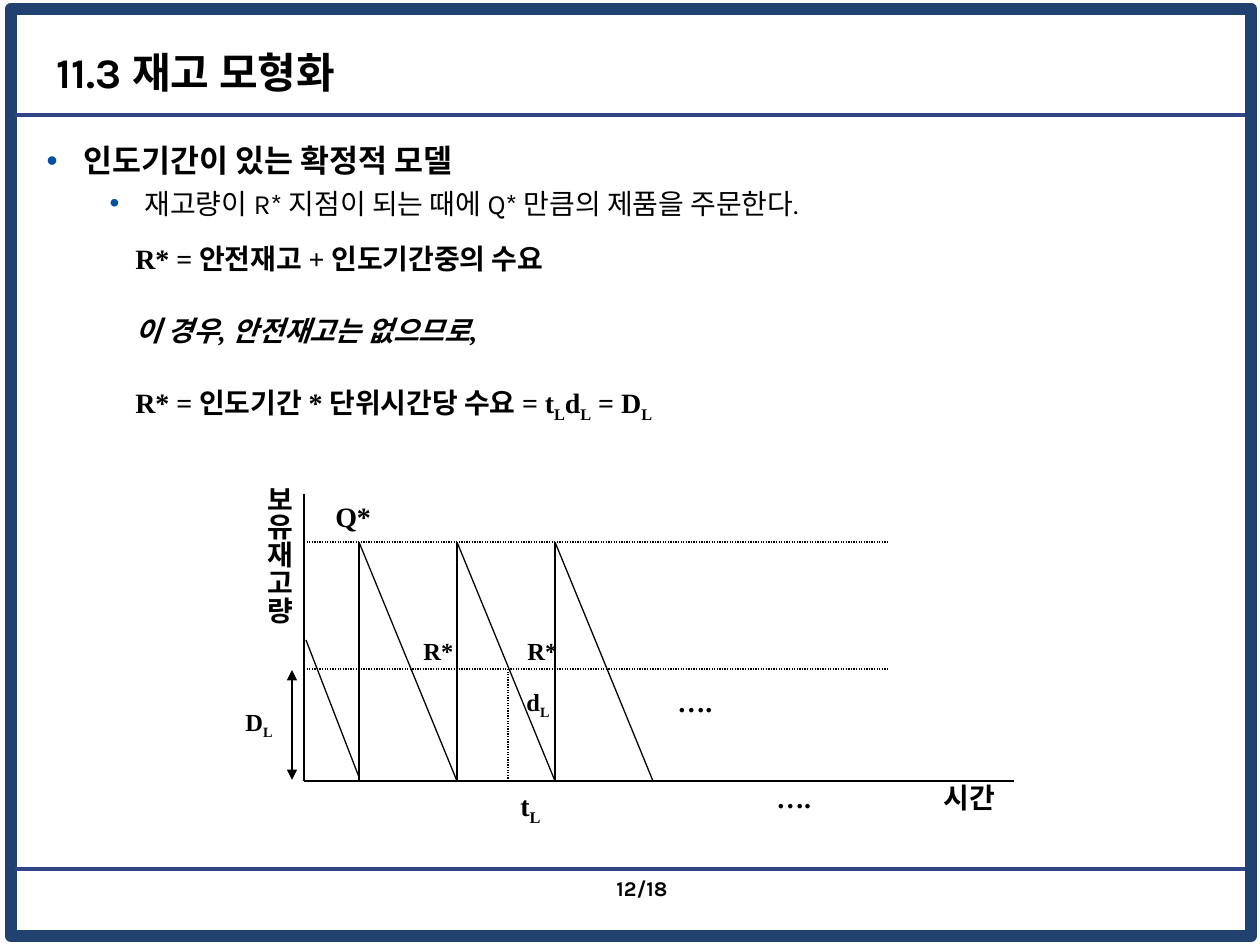
from lxml import etree
from pptx import Presentation
from pptx.dml.color import RGBColor
from pptx.enum.dml import MSO_LINE
from pptx.enum.shapes import MSO_CONNECTOR, MSO_SHAPE
from pptx.enum.text import MSO_ANCHOR, PP_ALIGN
from pptx.oxml.ns import qn
from pptx.util import Pt

PX = 914400 / 126
DOT = MSO_LINE.ROUND_DOT
STRAIGHT = MSO_CONNECTOR.STRAIGHT
RECT = MSO_SHAPE.RECTANGLE
TOP, MIDDLE = MSO_ANCHOR.TOP, MSO_ANCHOR.MIDDLE
LEFT, RIGHT = PP_ALIGN.LEFT, PP_ALIGN.RIGHT


def emu(*px):
    return [round(n * PX) for n in px]


def color(code):
    return RGBColor.from_string(code)


class Page:
    ink, navy, rule, dot = "000000", "214171", "314486", "0051A2"
    head, serif = "Karla", "Times New Roman"

    def __init__(self, slide):
        self.slide = slide
        self.shapes = slide.shapes

    def place(self, shape, box):
        shape.left, shape.top, shape.width, shape.height = emu(*box)

    def style(self, run, size, font, bold=True, slant=False):
        run.font.size = Pt(size)
        run.font.name = font
        run.font.bold = bold
        run.font.italic = slant
        run.font.color.rgb = color(self.ink)

    def fill(self, para, text, size, font, slant=False):
        for i, part in enumerate(text.split("_")):
            if part:
                run = para.add_run()
                run.text = part
                self.style(run, size, font, slant=slant)
                if i % 2:
                    run.font._element.set("baseline", "-25000")

    def frame(self, box):
        shape = self.shapes.add_shape(RECT, *emu(*box))
        shape.shadow.inherit = False
        shape.fill.background()
        shape.line.color.rgb = color(self.navy)
        shape.line.width = Pt(7)

    def line(self, x1, y1, x2, y2, tint=ink, width=0.75, dash=None, heads=False):
        link = self.shapes.add_connector(STRAIGHT, *emu(x1, y1, x2, y2))
        link.line.color.rgb = color(tint)
        link.line.width = Pt(width)
        if dash:
            link.line.dash_style = dash
        if heads:
            for end in ("a:headEnd", "a:tailEnd"):
                etree.SubElement(link.line._ln, qn(end), type="triangle")
        etree.SubElement(link._element.spPr, qn("a:effectLst"))

    def text(self, box, words, size=16, font=serif, align=LEFT, wrap=False, stack=False):
        area = self.shapes.add_textbox(*emu(*box)).text_frame
        area.word_wrap = wrap
        if stack:
            area._txBody.bodyPr.set("vert", "eaVert")
        para = area.paragraphs[0]
        para.alignment = align
        self.fill(para, words, size, font)

    def title(self, box, words):
        shape = self.shapes.title
        self.place(shape, box)
        area = shape.text_frame
        area.text = words
        area.vertical_anchor = MIDDLE
        para = area.paragraphs[0]
        para.alignment = LEFT
        self.style(para.runs[0], 24, self.head)

    def list(self, box, items):
        shape = self.slide.placeholders[1]
        self.place(shape, box)
        area = shape.text_frame
        area.vertical_anchor = TOP
        area.text = "\n".join(item[0] for item in items)
        for level, (para, item) in enumerate(zip(area.paragraphs, items)):
            _, size, bold, left, hang = item
            para.level = level
            para.space_before = Pt(4)
            self.style(para.runs[0], size, self.head, bold)
            props = para._p.get_or_add_pPr()
            props.set("marL", str(emu(left)[0]))
            props.set("indent", str(-emu(hang)[0]))
            tint = etree.SubElement(props, qn("a:buClr"))
            etree.SubElement(tint, qn("a:srgbClr"), val=self.dot)
            etree.SubElement(props, qn("a:buFont"), typeface="Arial")
            etree.SubElement(props, qn("a:buChar"), char="•")

    def math(self, box, rows):
        area = self.shapes.add_textbox(*emu(*box)).text_frame
        area.word_wrap = True
        area.text = "\n" * (len(rows) - 1)
        for i, (para, (words, slant)) in enumerate(zip(area.paragraphs, rows)):
            para.line_spacing = 1.1
            para.space_before = Pt(20 if i else 0)
            self.fill(para, words, 16, self.serif, slant)


def graph(page):
    left, right, base = 304, 1014, 781
    peak, order = 542, 669
    start, step = 359, 98
    page.line(left, base, right, base)
    page.line(left, base, left, 494)
    for y in (peak, order):
        page.line(left, y, 888, y, dash=DOT)
    page.line(306, 640, start, 777)
    for i in range(3):
        x = start + i * step
        page.line(x, base, x, peak)
        page.line(x, peak, x + step, base)
    page.line(508, order, 508, base, dash=DOT)
    page.line(292, 670, 292, 780, width=1, heads=True)

    page.text((243, 473, 59, 163), "보유재고량", stack=True)
    for box, words, size in (
        ((323, 493, 62, 47), "Q*", 16),
        ((411, 630, 55, 43), "R*", 14),
        ((515, 630, 55, 43), "R*", 14),
        ((514, 681, 50, 43), "d_L", 14),
        ((233, 701, 69, 43), "D_L", 14),
        ((508, 782, 48, 47), "t_L", 16),
        ((665, 678, 60, 47), "….", 16),
        ((764, 774, 60, 47), "….", 16),
        ((931, 774, 82, 47), "시간", 16),
    ):
        page.text(box, words, size)


def main():
    deck = Presentation()
    deck.slide_width, deck.slide_height = emu(1260, 945)
    page = Page(deck.slides.add_slide(deck.slide_layouts[1]))
    page.frame((11, 9, 1240, 927))
    for y in (115, 869):
        page.line(15, y, 1245, y, page.rule, 2)
    page.text((580, 869, 100, 38), "12/18", 12, page.head, RIGHT)
    page.title((44, 38, 983, 68), "11.3 재고 모형화")
    page.list((34, 135, 1162, 714), [
        ("인도기간이 있는 확정적 모델", 18, True, 37, 37),
        ("재고량이 R* 지점이 되는 때에 Q* 만큼의 제품을 주문한다.", 16, False, 98, 35),
    ])
    page.math((123, 232, 871, 237), [
        ("R* = 안전재고 + 인도기간중의 수요", False),
        ("이 경우, 안전재고는 없으므로,", True),
        ("R* = 인도기간 * 단위시간당 수요 = t_L_d_L_ = D_L", False),
    ])
    graph(page)
    deck.save("out.pptx")


if __name__ == "__main__":
    main()
